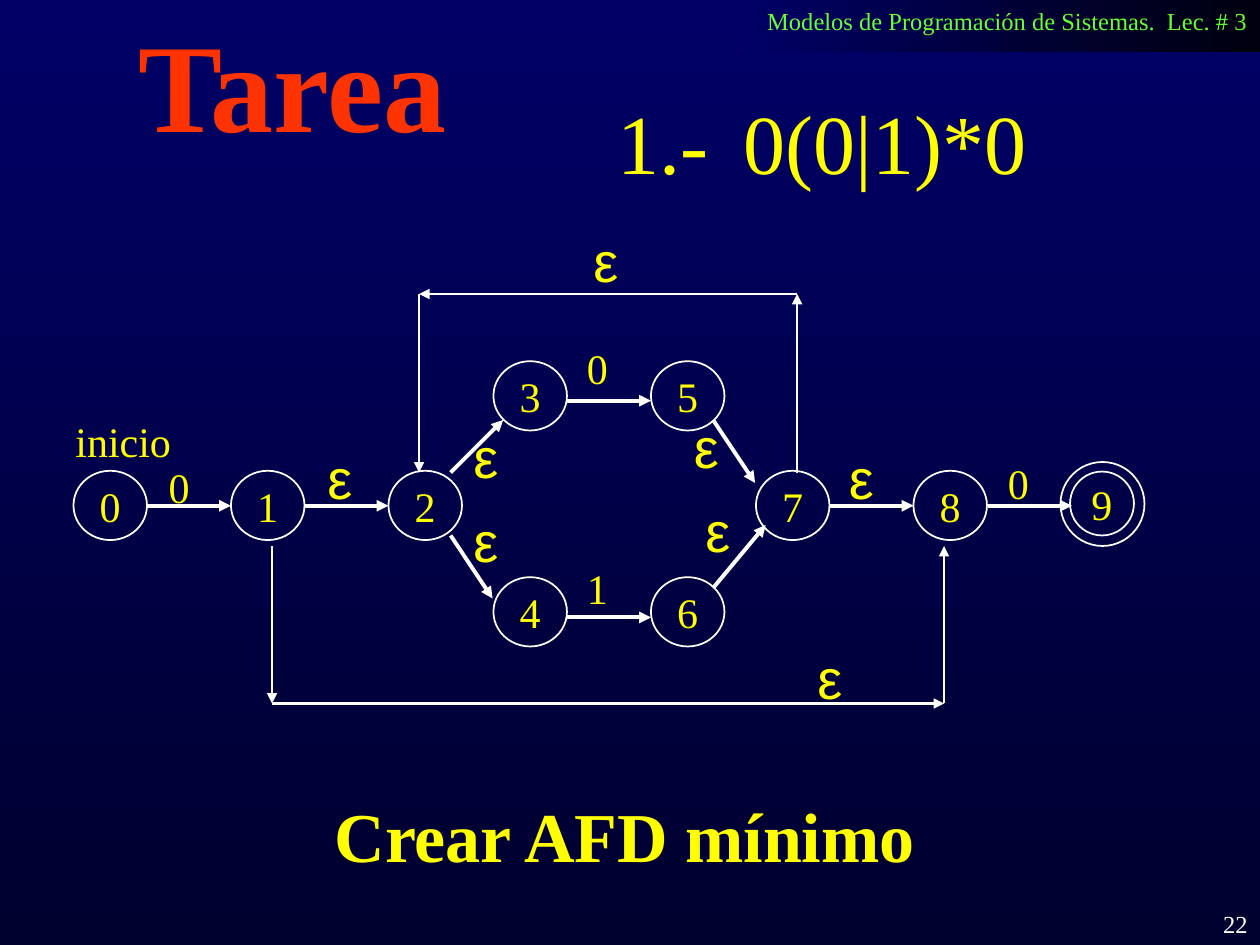
from lxml import etree
from pptx import Presentation
from pptx.dml.color import RGBColor
from pptx.enum.shapes import MSO_CONNECTOR, MSO_SHAPE
from pptx.enum.text import MSO_ANCHOR, PP_ALIGN
from pptx.oxml.ns import qn
from pptx.util import Pt

LINE = MSO_CONNECTOR.STRAIGHT
OVAL, RECT = MSO_SHAPE.OVAL, MSO_SHAPE.RECTANGLE
MIDDLE = MSO_ANCHOR.MIDDLE
LEFT, CENTER, RIGHT = PP_ALIGN.LEFT, PP_ALIGN.CENTER, PP_ALIGN.RIGHT
SERIF, SANS = "Times New Roman", "Arial"
WHITE, YELLOW, RED, GREEN = "FFFFFF", "FFFF00", "FF3300", "66FF33"

WIDE, HIGH, STEP = 42, 39.6, 90
TOP, MID, LOW = 206.4, 269, 329.8
NODES = [
    ("0", 42, MID), ("1", 42 + STEP, MID), ("2", 42 + 2 * STEP, MID),
    ("3", 282, TOP), ("5", 282 + STEP, TOP),
    ("4", 282, LOW), ("6", 282 + STEP, LOW),
    ("7", 432, MID), ("8", 432 + STEP, MID),
]
EDGES = [
    (84, 289, 132, 289), (173.5, 289, 222, 289),
    (474, 289, 522, 289), (564.5, 289, 612.5, 289),
    (323.5, 229, 372, 229), (323.5, 352.8, 372, 352.8),
    (257.5, 270, 287.5, 240), (257.5, 306, 281.5, 342),
    (407.5, 240, 431.5, 276), (407.5, 336, 437.5, 300),
]
LOOPS = [
    (155.5, 312, 155.5, 402), (155.5, 402, 539.5, 402),
    (539.5, 402, 539.5, 312), (455.5, 270, 455.5, 168),
    (455.5, 168, 239.5, 168), (239.5, 168, 239.5, 270),
]
DIGITS = [("0", 89.3, 260), ("0", 568.8, 258), ("0", 328.3, 192), ("1", 328.3, 318)]
EPSILONS = [
    (460, 364), (180, 250), (263.5, 286), (263.5, 238),
    (389.5, 232), (396, 280), (478, 250), (332, 126),
]


def color(code):
    """Turn a hex string into a colour."""
    return RGBColor.from_string(code)


def shade(fill, start, end, angle):
    """Apply a linear gradient between two colours."""
    fill.gradient()
    fill.gradient_angle = angle
    for stop, code in zip(fill.gradient_stops, (start, end)):
        stop.color.rgb = color(code)


def style(para, size, code, face=SERIF, bold=False, align=LEFT):
    """Set the alignment and font of a paragraph."""
    para.alignment = align
    font = para.font
    font.name, font.size, font.bold = face, Pt(size), bold
    font.color.rgb = color(code)


def label(slide, text, box, size, code, face=SERIF, bold=False, align=LEFT, tab=None):
    """Add a line of text, with a tab stop if given."""
    frame = slide.shapes.add_textbox(*map(Pt, box)).text_frame
    frame.word_wrap = False
    para = frame.paragraphs[0]
    para.text = text
    if tab:
        tabs = etree.SubElement(para._p.get_or_add_pPr(), qn("a:tabLst"))
        etree.SubElement(tabs, qn("a:tab"), pos=str(Pt(tab)), algn="l")
    style(para, size, code, face, bold, align)
    return frame


def ring(slide, left, top, width, height, text=""):
    """Add an outlined state with its number."""
    oval = slide.shapes.add_shape(OVAL, Pt(left), Pt(top), Pt(width), Pt(height))
    oval.shadow.inherit = False
    oval.fill.background()
    oval.line.color.rgb = color(WHITE)
    oval.line.width = Pt(1)
    if text:
        frame = oval.text_frame
        frame.word_wrap = False
        frame.vertical_anchor = MIDDLE
        frame.text = text
        style(frame.paragraphs[0], 24, YELLOW, align=CENTER)


def arrow(slide, ends, width):
    """Add a straight arrow between two points."""
    link = slide.shapes.add_connector(LINE, *map(Pt, ends))
    link.line.color.rgb = color(WHITE)
    link.line.width = Pt(width)
    etree.SubElement(link.line._get_or_add_ln(), qn("a:tailEnd"), type="triangle")
    etree.SubElement(link._element.spPr, qn("a:effectLst"))


def header(slide):
    """Add the shaded course strip."""
    strip = slide.shapes.add_shape(RECT, Pt(420), Pt(0), Pt(300), Pt(30))
    strip.shadow.inherit = False
    strip.line.fill.background()
    shade(strip.fill, "00000F", "000066", 180)
    label(slide, "Modelos de Programación de Sistemas.  Lec. # 3",
          (431.3, 0, 288.7, 24.5), 14, GREEN)


def graph(slide):
    """Draw the automaton with its states, arrows and symbols."""
    for text, left, top in NODES:
        ring(slide, left, top, WIDE, HIGH, text)
    ring(slide, 611.5, 269.5, 36.5, 36.5, "9")
    ring(slide, 606, 264, 48, 48)
    for ends in EDGES:
        arrow(slide, ends, 2.25)
    for ends in LOOPS:
        arrow(slide, ends, 1.5)
    for text, left, top in DIGITS:
        label(slide, text, (left, top, 27, 36), 24, YELLOW)
    for left, top in EPSILONS:
        label(slide, "ε", (left, top, 28, 46), 32, YELLOW, SANS)
    label(slide, "inicio", (36, 234, 78.5, 36), 24, YELLOW)


def main():
    """Build and save the slide."""
    deck = Presentation()
    deck.slide_width, deck.slide_height = Pt(720), Pt(540)
    slide = deck.slides.add_slide(deck.slide_layouts[6])
    shade(slide.background.fill, "000066", "00002F", 270)
    header(slide)
    label(slide, "Tarea", (54, 0, 226, 93.6), 72, RED, bold=True, align=CENTER)
    label(slide, "1.-\t0(0|1)*0", (346, 48, 278, 65), 48, YELLOW, tab=72)
    graph(slide)
    label(slide, "Crear AFD mínimo", (160, 449.5, 394, 55.5), 40, YELLOW,
          bold=True, align=CENTER)
    page = label(slide, "22", (570, 516, 150, 24), 14, WHITE, align=RIGHT)
    page.word_wrap = True
    deck.save("out.pptx")


if __name__ == "__main__":
    main()
